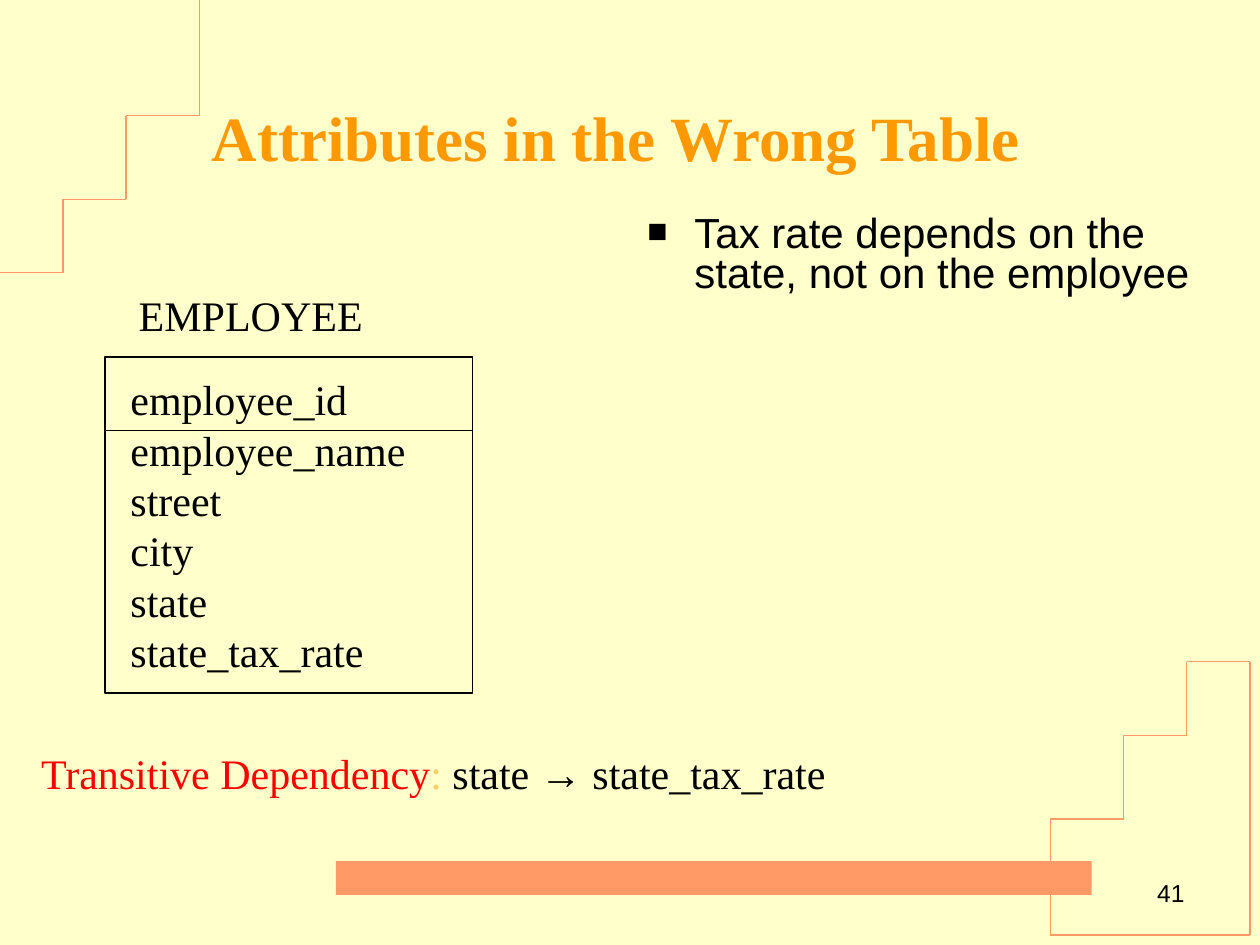
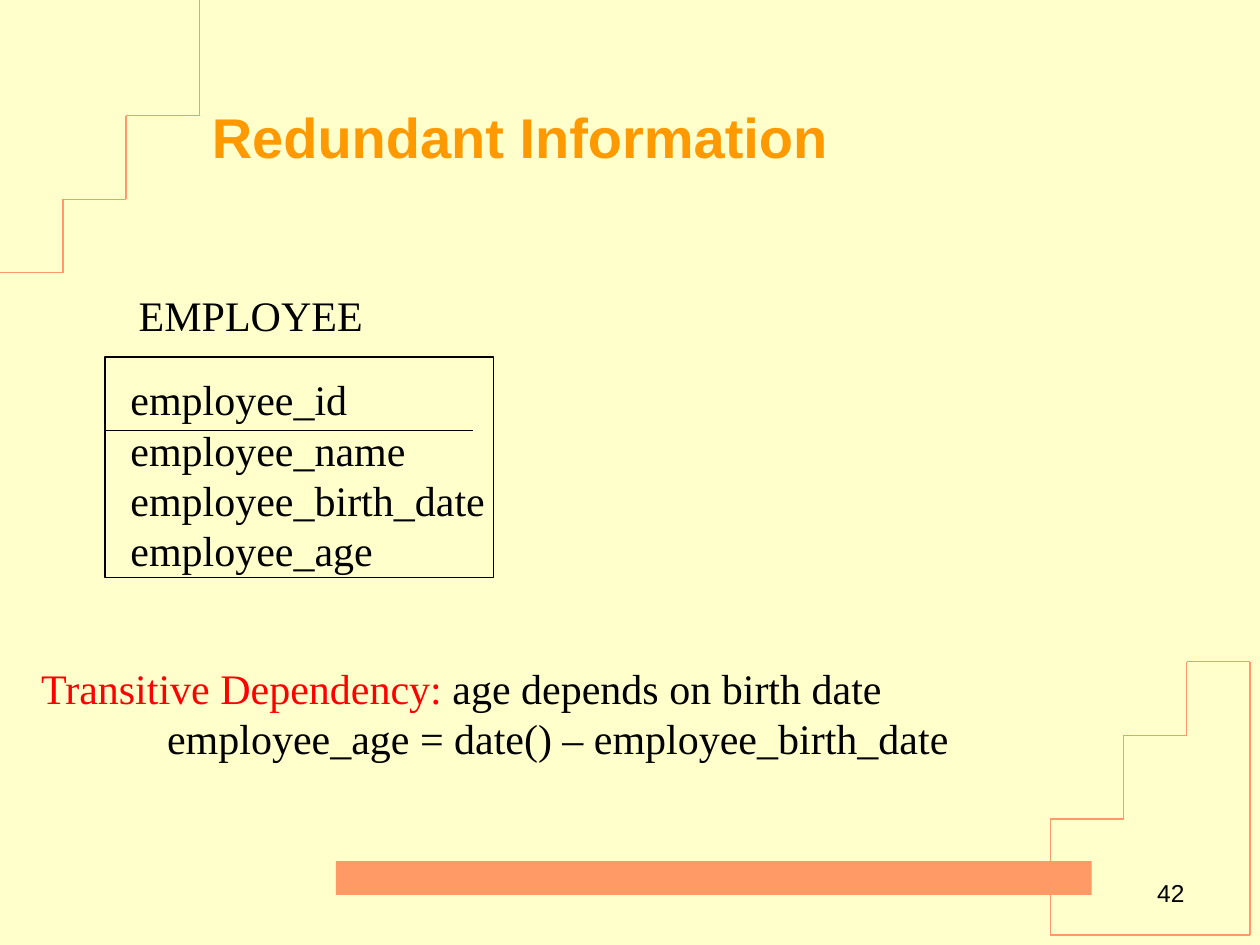
from itertools import pairwise

from lxml import etree
from pptx import Presentation
from pptx.dml.color import RGBColor
from pptx.enum.shapes import MSO_CONNECTOR, MSO_SHAPE
from pptx.enum.text import MSO_ANCHOR, MSO_AUTO_SIZE, PP_ALIGN
from pptx.oxml.ns import qn
from pptx.util import Cm, Pt

LINE = MSO_CONNECTOR.STRAIGHT
RECT = MSO_SHAPE.RECTANGLE
TOP, MIDDLE, BOTTOM = MSO_ANCHOR.TOP, MSO_ANCHOR.MIDDLE, MSO_ANCHOR.BOTTOM
LEFT, CENTER, RIGHT = PP_ALIGN.LEFT, PP_ALIGN.CENTER, PP_ALIGN.RIGHT
GROW, FIXED = MSO_AUTO_SIZE.SHAPE_TO_FIT_TEXT, MSO_AUTO_SIZE.NONE

CREAM, CORAL, ORANGE = "FFFFCC", "FF9966", "FF9900"
BLACK, RED, GOLD = "000000", "FF0000", "FFCC66"
SERIF, SANS = "Times New Roman", "Arial"

STAIRS = [(0, 5.5), (1.27, 5.5), (1.27, 4.02), (2.54, 4.02),
          (2.54, 2.33), (4.02, 2.33), (4.02, 0)]
TOWER = [(21.17, 18.85), (21.17, 16.51), (22.65, 16.51), (22.65, 14.82),
         (23.92, 14.82), (23.92, 13.34), (25.2, 13.34), (25.2, 18.85),
         (21.17, 18.85)]


def color(code):
    """Turn a hex string into a colour."""
    return RGBColor.from_string(code)


def line(slide, start, end, tint):
    """Draw a thin straight line between two points in cm."""
    ends = [Cm(n) for n in (*start, *end)]
    rule = slide.shapes.add_connector(LINE, *ends)
    rule.line.color.rgb = color(tint)
    rule.line.width = Pt(0.75)
    etree.SubElement(rule._element.spPr, qn("a:effectLst"))


def block(slide, box, fill, edge=None):
    """Draw a filled rectangle, outlined if an edge colour is given."""
    shape = slide.shapes.add_shape(RECT, *map(Cm, box))
    shape.shadow.inherit = False
    shape.fill.solid()
    shape.fill.fore_color.rgb = color(fill)
    if edge:
        shape.line.color.rgb = color(edge)
        shape.line.width = Pt(0.75)
    else:
        shape.line.fill.background()


def text(slide, box, paras, size=24, font=SERIF, tint=BLACK, bold=False,
         align=LEFT, anchor=TOP, wrap=False):
    """Write paragraphs of (words, tint, font) runs and return them."""
    frame = slide.shapes.add_textbox(*map(Cm, box)).text_frame
    frame.word_wrap = wrap
    frame.auto_size = FIXED if wrap else GROW
    frame.vertical_anchor = anchor
    for num, runs in enumerate(paras):
        para = frame.add_paragraph() if num else frame.paragraphs[0]
        para.alignment = align
        for part in [(runs,)] if isinstance(runs, str) else runs:
            words, hue, face = (*part, tint, font)[:3] if len(part) != 2 else (*part, font)
            run = para.add_run()
            run.text = words
            run.font.size, run.font.bold = Pt(size), bold
            run.font.name = face
            run.font.color.rgb = color(hue)
    return frame.paragraphs


def indent(para, left, hang=0):
    """Set the left margin and hanging indent of a paragraph in cm."""
    props = para._p.get_or_add_pPr()
    props.set("marL", str(Cm(left)))
    props.set("indent", str(-Cm(hang)))
    return props


def bullet(slide, box, words):
    """Write one tightly spaced point with a square bullet."""
    para = text(slide, box, [words], font=SANS, wrap=True)[0]
    props = indent(para, 0.95, 0.95)
    etree.SubElement(props, qn("a:buSzPct"), val="80000")
    etree.SubElement(props, qn("a:buFont"), typeface=SANS)
    etree.SubElement(props, qn("a:buChar"), char="■")
    para.line_spacing = 0.8


def entity(slide, name, fields, width, height, span):
    """Draw a named table box with its key ruled off from other fields."""
    block(slide, (2.12, 7.2, width, height), CREAM, BLACK)
    line(slide, (2.12, 8.68), (9.53, 8.68), BLACK)
    text(slide, (2.38, 7.41, span, 0.25 + 1.02 * len(fields)), fields)
    text(slide, (2.54, 5.72, 5.03, 1.27), [name], align=CENTER)


def page(deck, title, number, **style):
    """Add a slide with the shared stairs, band, title and number."""
    slide = deck.slides.add_slide(deck.slide_layouts[6])
    for path in (TOWER, STAIRS):
        for start, end in pairwise(path):
            line(slide, start, end, CORAL)
    block(slide, (6.77, 17.36, 15.24, 0.68), CORAL)
    text(slide, (4.02, 1.69, 20.32, 2.12), [title], tint=ORANGE, bold=True,
         anchor=MIDDLE, wrap=True, **style)
    text(slide, (21.8, 16.72, 2.33, 1.69), [str(number)], size=14, font=SANS,
         align=RIGHT, anchor=BOTTOM, wrap=True)
    return slide


def main():
    """Build both slides and save the deck."""
    deck = Presentation()
    deck.slide_width, deck.slide_height = Cm(25.4), Cm(19.05)
    back = deck.slide_master.background.fill
    back.solid()
    back.fore_color.rgb = color(CREAM)

    wrong = page(deck, "Attributes in the Wrong Table", 41, size=36)
    bullet(wrong, (12.8, 4.23, 11.76, 5),
           "Tax rate depends on the state, not on the employee")
    entity(wrong, "EMPLOYEE",
           ["employee_id", "employee_name", "street", "city", "state",
            "state_tax_rate"], 7.41, 6.77, 6.05)
    text(wrong, (0.58, 14.94, 16.36, 1.27),
         [[("Transitive Dependency", RED), (":", GOLD), (" state ",),
           ("→", BLACK, SANS), (" state_tax_rate",)]])

    extra = page(deck, "Redundant Information", 42, size=32, font=SANS)
    entity(extra, "EMPLOYEE",
           ["employee_id", "employee_name", "employee_birth_date",
            "employee_age"], 7.83, 4.44, 7.65)
    notes = text(extra, (0.58, 13.23, 18.8, 2.29),
                 [[("Transitive Dependency:", RED),
                   (" age depends on birth date",)],
                  "employee_age = date() – employee_birth_date"])
    indent(notes[1], 2.54)

    deck.save("out.pptx")


if __name__ == "__main__":
    main()
